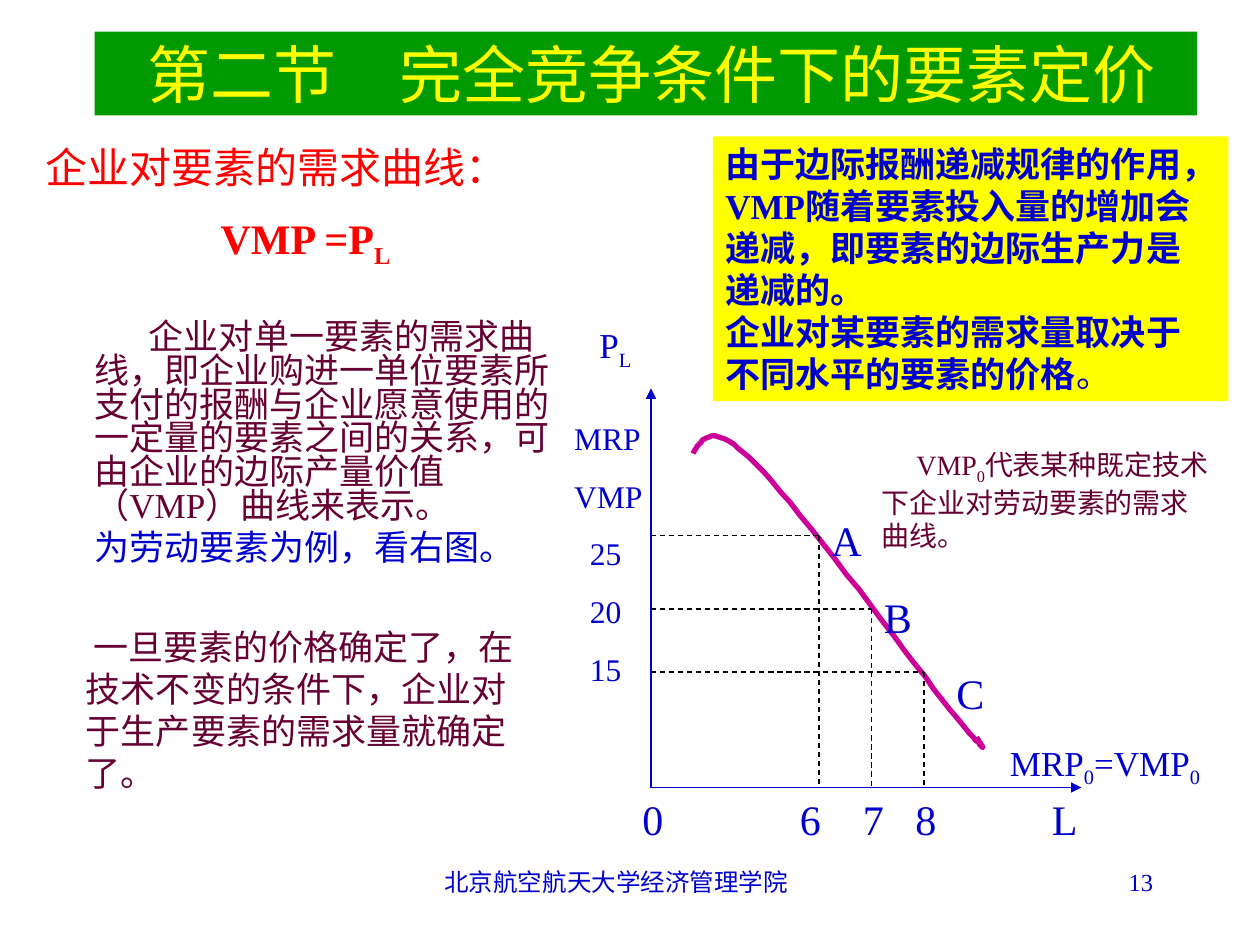
from dataclasses import dataclass
from typing import Optional

import pptx
import pptx.dml.color
import pptx.enum.dml
import pptx.enum.shapes
import pptx.enum.text
import pptx.oxml.ns
import pptx.util
from lxml import etree

PX = 7620  # EMU per px, 120 px to the inch
ALIGN = pptx.enum.text.PP_ALIGN


@dataclass(frozen=True)
class Theme:
    font: str = "Times New Roman"
    blue: str = "0000CC"
    red: str = "FF0000"
    wine: str = "660033"
    yellow: str = "FFFF00"
    green: str = "009900"
    magenta: str = "CC0099"
    black: str = "000000"
    title: int = 36
    head: int = 24
    body: int = 20
    axis: int = 18
    note: int = 16
    footer: int = 14


T = Theme()


@dataclass(frozen=True)
class Run:
    text: str
    size: int = T.body
    color: str = T.blue
    bold: bool = False
    sub: bool = False


@dataclass(frozen=True)
class Para:
    runs: list[Run]
    align: ALIGN = ALIGN.LEFT
    before: int = 0
    spacing: float = 1.0
    margin: int = 0
    indent: int = 0


@dataclass(frozen=True)
class Box:
    x: int
    y: int
    w: int
    h: int
    paras: list[Para]
    fill: Optional[str] = None
    middle: bool = False


def px(n: float) -> int:
    return round(n * PX)


def rgb(color: str) -> pptx.dml.color.RGBColor:
    return pptx.dml.color.RGBColor.from_string(color)


def add_para(p, para: Para) -> None:
    p.alignment = para.align
    p.line_spacing = para.spacing
    p.space_before = pptx.util.Pt(para.before)
    pPr = p._p.get_or_add_pPr()
    pPr.set("marL", str(px(para.margin)))
    pPr.set("indent", str(px(para.indent)))
    for run in para.runs:
        r = p.add_run()
        r.text = run.text
        r.font.name = T.font
        r.font.size = pptx.util.Pt(run.size)
        r.font.bold = run.bold
        r.font.color.rgb = rgb(run.color)
        if run.sub:
            r._r.get_or_add_rPr().set("baseline", "-25000")


def add_box(s, box: Box) -> None:
    frame = [px(n) for n in (box.x, box.y, box.w, box.h)]
    if box.fill:
        sp = s.shapes.add_shape(pptx.enum.shapes.MSO_SHAPE.RECTANGLE, *frame)
        sp.shadow.inherit = False
        sp.fill.solid()
        sp.fill.fore_color.rgb = rgb(box.fill)
        sp.line.fill.background()
    else:
        sp = s.shapes.add_textbox(*frame)
    tf = sp.text_frame
    tf.word_wrap = True
    tf.margin_left, tf.margin_right = px(12), 0 if box.fill else px(12)
    tf.margin_top = tf.margin_bottom = px(6)
    anchor = pptx.enum.text.MSO_ANCHOR
    tf.vertical_anchor = anchor.MIDDLE if box.middle else anchor.TOP
    for i, para in enumerate(box.paras):
        add_para(tf.add_paragraph() if i else tf.paragraphs[0], para)


def add_label(s, x: int, y: int, *runs: Run, w: int = 80) -> None:
    add_box(s, Box(x, y, w, 60, [Para(list(runs))]))


def add_line(s, x1: int, y1: int, x2: int, y2: int, color: str, arrow: bool) -> None:
    kind = pptx.enum.shapes.MSO_CONNECTOR.STRAIGHT
    cx = s.shapes.add_connector(kind, px(x1), px(y1), px(x2), px(y2))
    cx.line.color.rgb = rgb(color)
    cx.line.width = pptx.util.Pt(0.75)
    if arrow:
        ln = cx.line._get_or_add_ln()
        etree.SubElement(ln, pptx.oxml.ns.qn("a:tailEnd"), type="triangle")
    else:
        cx.line.dash_style = pptx.enum.dml.MSO_LINE.DASH
    etree.SubElement(cx._element.spPr, pptx.oxml.ns.qn("a:effectLst"))


def add_curve(s, start: tuple, segments: list[tuple], steps: int = 20) -> None:
    """Draw cubic segments as one open outline."""
    points, p0 = [], start
    for p1, p2, p3 in segments:
        for t in (i / steps for i in range(1, steps + 1)):
            u = 1 - t
            points.append(tuple(
                u**3 * a + 3 * u * u * t * b + 3 * u * t * t * c + t**3 * d
                for a, b, c, d in zip(p0, p1, p2, p3)))
        p0 = p3
    fb = s.shapes.build_freeform(*start, scale=PX)
    fb.add_line_segments(points, close=False)
    sp = fb.convert_to_shape()
    sp.shadow.inherit = False
    sp.fill.background()
    sp.line.color.rgb = rgb(T.magenta)
    sp.line.width = pptx.util.Pt(3)


def main() -> None:
    prs = pptx.Presentation()
    prs.slide_width, prs.slide_height = px(1200), px(900)
    s = prs.slides.add_slide(prs.slide_layouts[6])

    # Demand definition on the left
    add_box(s, Box(32, 138, 518, 434, [
        Para([Run("企业对要素的需求曲线：", T.head, T.red)],
             spacing=0.8, margin=46, indent=-46),
        Para([Run("VMP =P", T.head, T.red, True), Run("L", T.head, T.red, True, True)],
             ALIGN.CENTER, 15, 0.8, 46, -46),
        Para([Run("企业对单一要素的需求曲线，即企业购进一单位要素所支付的报酬与企业愿意使用的"
                  "一定量的要素之间的关系，可由企业的边际产量价值（VMP）曲线来表示。",
                  color=T.wine)], before=34, spacing=0.8, margin=46, indent=52),
        Para([Run("为劳动要素为例，看右图。")], before=5, spacing=0.8, margin=46),
    ]))

    # Axes, demand curve and dashed guides
    left, base = 620, 750
    add_line(s, left, base, 1030, base, T.blue, True)
    add_line(s, left, base, left, 370, T.blue, True)
    add_curve(s, (660, 432), [
        ((670, 416), (678, 400), (720, 442)),
        ((762, 484), (875, 638), (910, 682)),
        ((946, 725), (937, 713), (930, 702)),
    ])
    for x, y in ((780, 510), (830, 580), (880, 640)):
        add_line(s, left, y, x, y, T.black, False)
        add_line(s, x, y, x, base, T.black, False)

    # Axis and point labels
    for text, x in (("0", 600), ("6", 750), ("7", 810), ("8", 860), ("L", 990)):
        add_label(s, x, base, Run(text, T.head))
    for i, text in enumerate(("MRP", "VMP", "25", "20", "15")):
        add_label(s, 550 if text.isdigit() else 535, 393 + 55 * i,
                  Run(text, T.axis), w=100)
    for i, (text, x) in enumerate((("A", 780), ("B", 830), ("C", 899))):
        add_label(s, x, 484 + 73 * i, Run(text, T.head))
    add_label(s, 559, 302, Run("P"), Run("L", sub=True))
    add_label(s, 950, 700, Run("MRP"), Run("0", sub=True),
              Run("=VMP"), Run("0", sub=True), w=220)

    # Title and highlighted explanation
    add_box(s, Box(90, 30, 1050, 80, [
        Para([Run("第二节　完全竞争条件下的要素定价", T.title, T.yellow)], ALIGN.CENTER),
    ], T.green, True))
    lines = ("由于边际报酬递减规律的作用，", "VMP随着要素投入量的增加会",
             "递减，即要素的边际生产力是", "递减的。", "企业对某要素的需求量取决于")
    add_box(s, Box(679, 130, 491, 252, [
        *(Para([Run(line, bold=True)]) for line in lines),
        Para([Run("不同水平的要素的价格", bold=True), Run("。")]),
    ], T.yellow))

    # Notes on the curve and on demand
    add_box(s, Box(828, 420, 354, 113, [
        Para([Run("VMP", T.note, T.wine), Run("0", T.note, T.wine, sub=True),
              Run("代表某种既定技术", T.note, T.wine)], indent=33),
        Para([Run("下企业对劳动要素的需求", T.note, T.wine)]),
        Para([Run("曲线。", T.note, T.wine)]),
    ]))
    add_box(s, Box(70, 590, 442, 180, [
        Para([Run("一旦要素的价格确定了，在技术不变的条件下，企业对于生产要素的需求量就确定了。",
                  color=T.wine)], indent=7),
    ]))

    # Footer
    add_box(s, Box(397, 820, 380, 60, [
        Para([Run("北京航空航天大学经济管理学院", T.footer)], ALIGN.CENTER)]))
    add_box(s, Box(860, 820, 250, 60, [Para([Run("13", T.footer)], ALIGN.RIGHT)]))

    prs.save("out.pptx")


if __name__ == "__main__":
    main()
